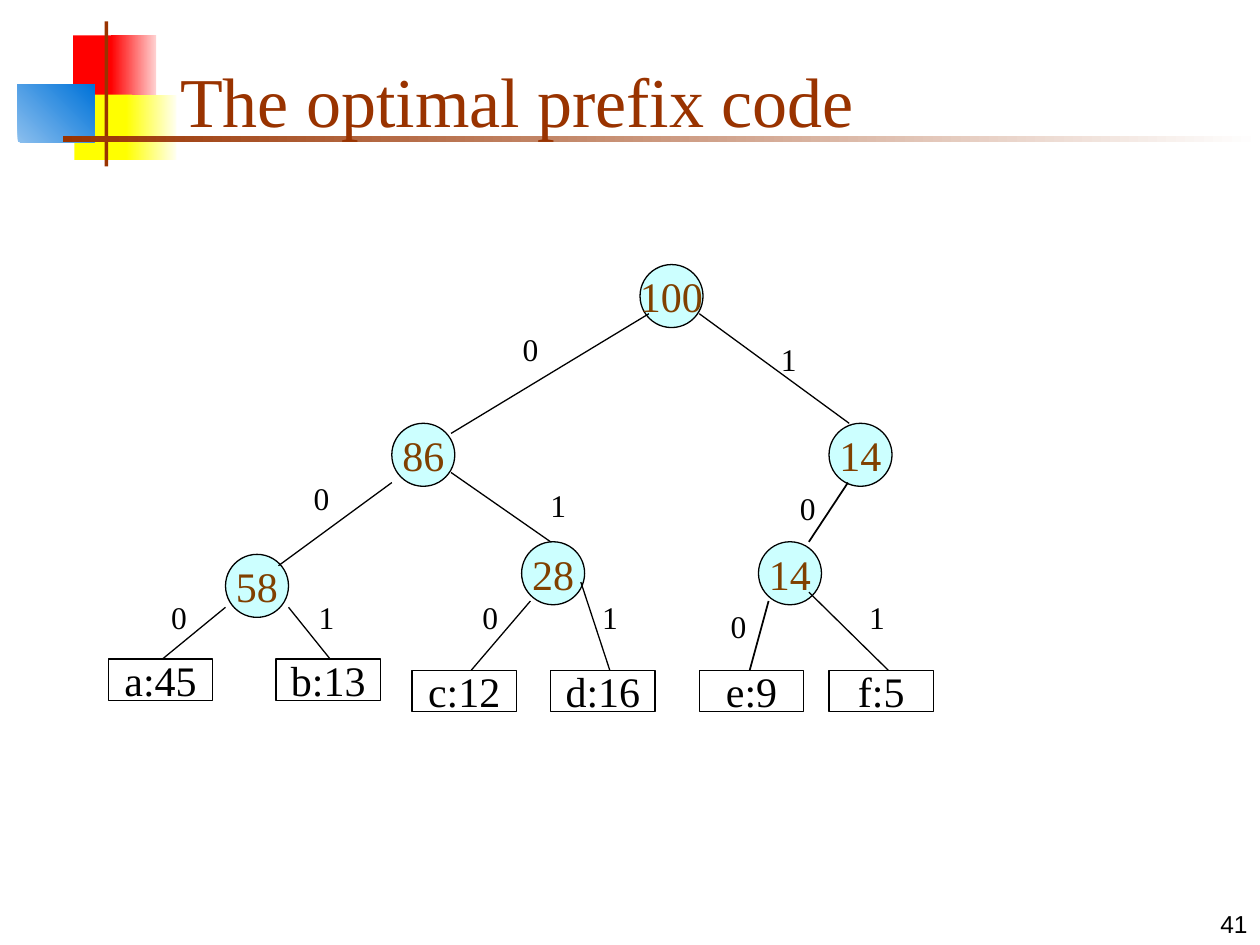
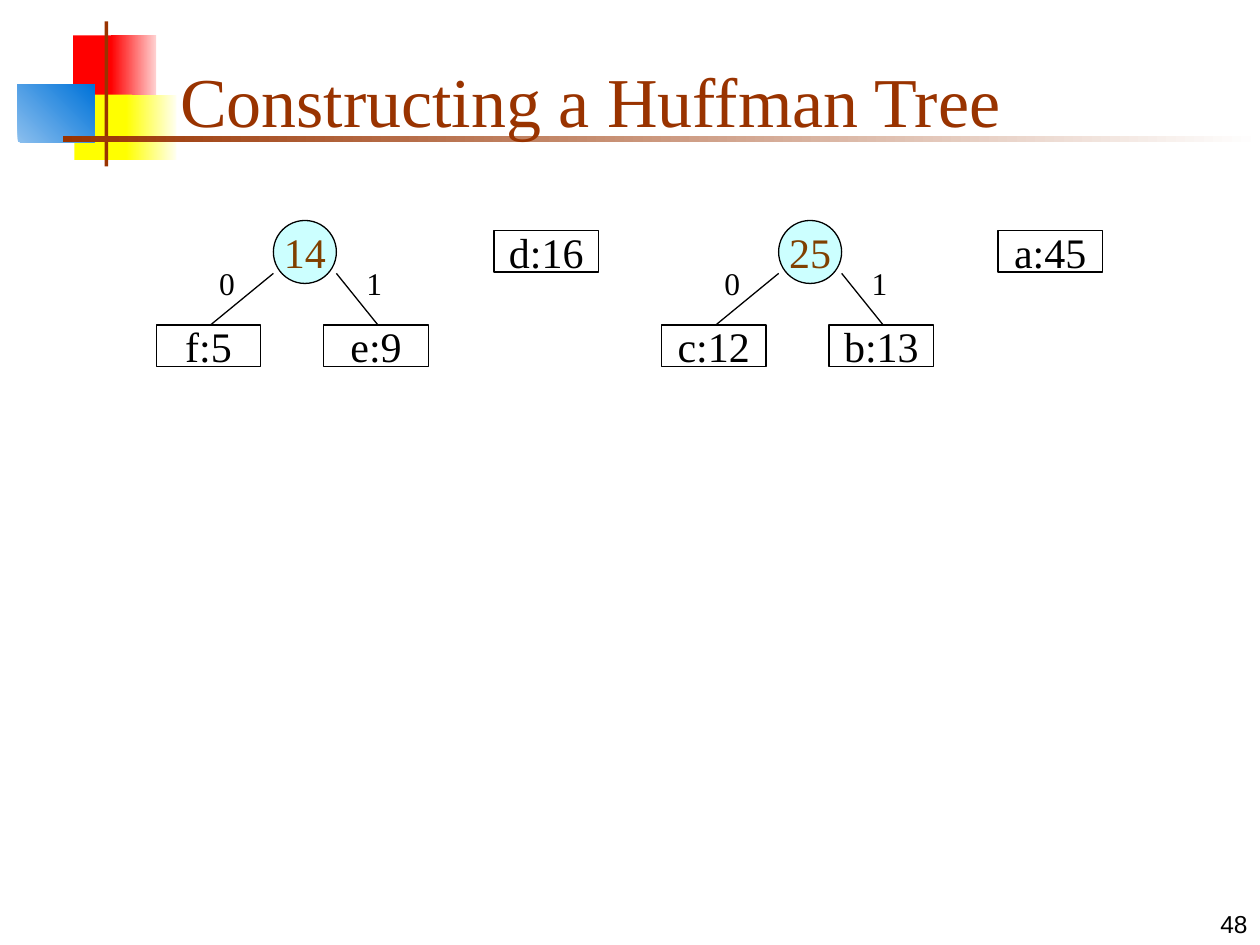
import pptx
import pptx.dml.color
import pptx.enum.shapes
import pptx.enum.text
import pptx.util
from lxml import etree

PX = 9144  # EMU in one px: 100 px to the inch
INK, BROWN, RUST, CYAN = "000000", "804000", "993300", "CCFFFF"
SERIF, SANS = "Times New Roman", "Arial"
SHAPE = pptx.enum.shapes.MSO_SHAPE
ALIGN = pptx.enum.text.PP_ALIGN
ANCHOR = pptx.enum.text.MSO_ANCHOR
FIT = pptx.enum.text.MSO_AUTO_SIZE
DRAW = "{http://schemas.openxmlformats.org/drawingml/2006/main}"

# Left, top, width, height, colours (two make a gradient), angle
BANDS = [
    (58, 28, 35, 52, ["FF0000"], 0),
    (88, 28, 36, 52, ["FF0000", "FFD1D1"], 0),
    (59, 75, 46, 52, ["FFFF00"], 0),
    (100, 75, 40, 52, ["FFFF00", "FFFFF0"], 0),
    (14, 67, 61, 46, ["8BBFEE", "0073D9"], 45),
    (83, 17, 3, 115, [RUST], 0),
    (50, 108, 950, 5, [RUST, "FFFFFF"], 0),
]


def emu(*px):
    return [pptx.util.Emu(n * PX) for n in px]


def rgb(code):
    return pptx.dml.color.RGBColor.from_string(code)


class Deck:
    def __init__(self):
        self.prs = pptx.Presentation()
        self.prs.slide_width, self.prs.slide_height = emu(1000, 750)
        self.base = self.prs.slide_layouts[5]
        self.slide = None

    def page(self, title, number):
        """Start a slide; the first one also puts the bands on the layout."""
        first = self.slide is None
        self.slide = self.prs.slides.add_slide(self.base)
        if first:
            for band in BANDS:
                self.band(*band)
        head = self.slide.shapes.title
        head.left, head.top, head.width, head.height = emu(133, 25, 852, 92)
        self.text(head, title, 40, RUST, anchor=ANCHOR.BOTTOM)
        foot = self.slide.shapes.add_textbox(*emu(792, 700, 208, 50))
        self.text(foot, number, 14, INK, SANS, ALIGN.RIGHT, ANCHOR.BOTTOM)

    def text(self, shape, words, size, color, face=SERIF, align=ALIGN.LEFT,
             anchor=ANCHOR.TOP, wrap=True, fit=FIT.NONE):
        frame = shape.text_frame
        frame.auto_size, frame.word_wrap = fit, wrap
        frame.vertical_anchor = anchor
        frame.margin_left, frame.margin_right = emu(10, 10)
        frame.margin_top, frame.margin_bottom = emu(5, 5)
        para = frame.paragraphs[0]
        para.alignment = align
        run = para.add_run()
        run.text = words
        run.font.size, run.font.name = pptx.util.Pt(size), face
        run.font.color.rgb = rgb(color)

    def shape(self, kind, x, y, w, h):
        shape = self.slide.shapes.add_shape(kind, *emu(x, y, w, h))
        shape.shadow.inherit = False
        return shape

    def band(self, x, y, w, h, colors, angle):
        bar = self.shape(SHAPE.RECTANGLE, x, y, w, h)
        bar.line.fill.background()
        if len(colors) == 1:
            bar.fill.solid()
            bar.fill.fore_color.rgb = rgb(colors[0])
        else:
            bar.fill.gradient()
            bar.fill.gradient_angle = angle
            for stop, color in zip(bar.fill.gradient_stops, colors):
                stop.color.rgb = rgb(color)
        self.base.shapes._spTree.append(bar._element)

    def mark(self, shape, words, color):
        """Outline a tree part and centre its words."""
        shape.line.color.rgb = rgb(INK)
        shape.line.width = pptx.util.Pt(0.75)
        self.text(shape, words, 24, color, align=ALIGN.CENTER,
                  anchor=ANCHOR.MIDDLE, wrap=False)

    def leaf(self, words, x, y):
        box = self.shape(SHAPE.RECTANGLE, x, y, 83, 33)
        box.fill.background()
        self.mark(box, words, INK)

    def node(self, words, x, y):
        disc = self.shape(SHAPE.OVAL, x, y, 50, 50)
        disc.fill.solid()
        disc.fill.fore_color.rgb = rgb(CYAN)
        self.mark(disc, words, BROWN)

    def edge(self, bit, x, y, start, end, width=0.75):
        """Draw a branch, with its bit in a label at x, y."""
        line = self.slide.shapes.add_connector(
            pptx.enum.shapes.MSO_CONNECTOR.STRAIGHT, *emu(*start, *end))
        line.line.color.rgb = rgb(INK)
        line.line.width = pptx.util.Pt(width)
        etree.SubElement(line._element.spPr, DRAW + "effectLst")
        label = self.slide.shapes.add_textbox(*emu(x, y, 34, 40))
        self.text(label, bit, 18, INK, wrap=False, fit=FIT.SHAPE_TO_FIT_TEXT)

    def pair(self, total, left, right, x, y):
        """Draw a node at x, y with two leaves below it."""
        self.leaf(left, x - 93, y + 83)
        self.leaf(right, x + 40, y + 83)
        self.node(total, x, y)
        self.edge("0", x - 53, y + 30, (x - 50, y + 83), (x, y + 42))
        self.edge("1", x + 64, y + 30, (x + 83, y + 83), (x + 50, y + 42))


def code(deck):
    deck.page("The optimal prefix code", "41")
    for words, x in [("c:12", 327), ("d:16", 437), ("e:9", 555), ("f:5", 658)]:
        deck.leaf(words, x, 532)
    deck.pair("58", "a:45", "b:13", 179, 440)
    for words, x, y in [("14", 602, 430), ("28", 414, 430), ("86", 311, 336),
                        ("100", 508, 210), ("14", 658, 336)]:
        deck.node(words, x, y)
    for edge in [
        ("1", 468, 470, (484, 532), (461, 462)),
        ("0", 373, 470, (374, 532), (421, 477)),
        ("1", 680, 470, (705, 532), (642, 470)),
        ("0", 239, 375, (221, 449), (311, 383)),
        ("1", 427, 381, (437, 430), (358, 375)),
        ("1", 610, 265, (674, 336), (555, 249)),
        ("0", 405, 257, (358, 344), (515, 249)),
        ("0", 625, 383, (673, 383), (642, 430), 1),
        ("0", 570, 477, (610, 477), (595, 532), 1),
    ]:
        deck.edge(*edge)


def build(deck):
    deck.page("Constructing a Huffman Tree", "48")
    deck.leaf("d:16", 392, 183)
    deck.leaf("a:45", 792, 183)
    deck.pair("14", "f:5", "e:9", 217, 175)
    deck.pair("25", "c:12", "b:13", 618, 175)


def main():
    deck = Deck()
    code(deck)
    build(deck)
    deck.prs.save("out.pptx")


if __name__ == "__main__":
    main()
